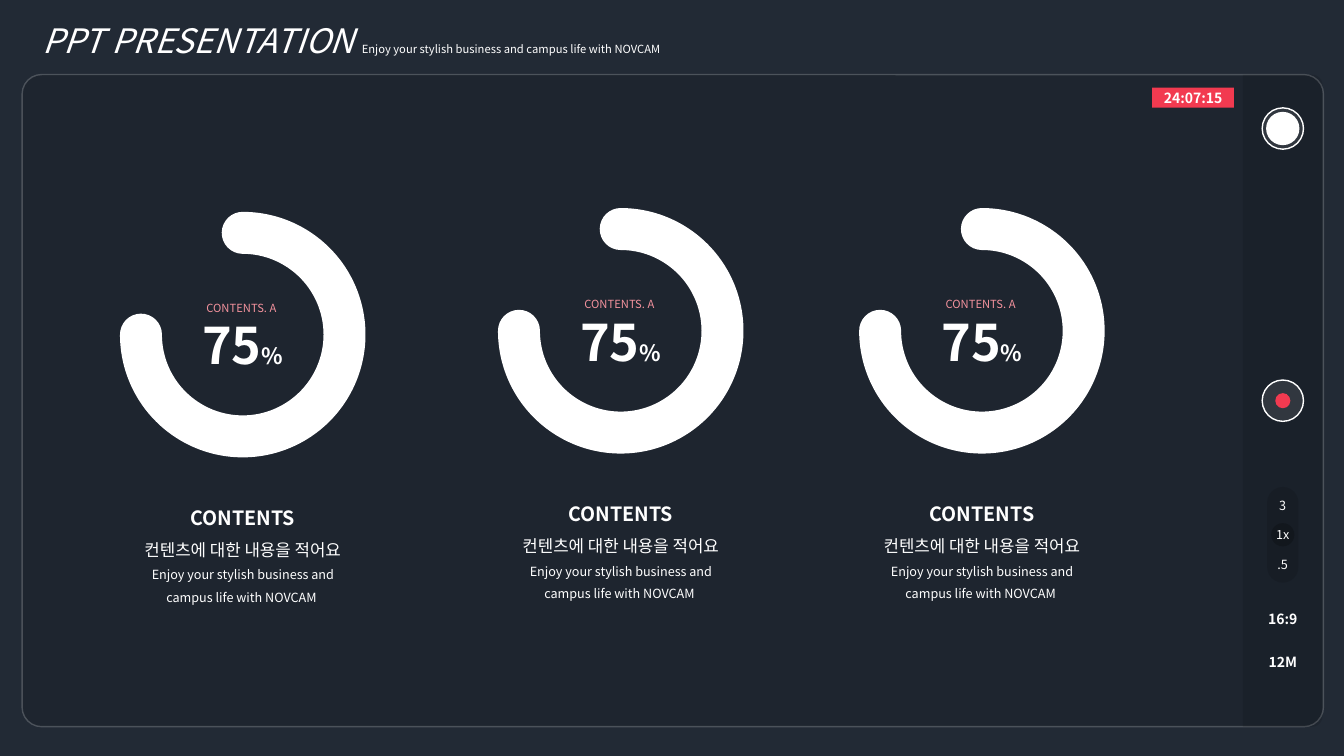
"""Build a camera-viewfinder slide with three percentage gauges."""
from dataclasses import dataclass
from typing import Optional

from lxml.etree import SubElement
from pptx import Presentation
from pptx.dml.color import RGBColor
from pptx.enum.shapes import MSO_SHAPE as Kind
from pptx.enum.text import MSO_ANCHOR as Anchor, MSO_AUTO_SIZE as AutoSize, PP_ALIGN as Align
from pptx.oxml.ns import qn
from pptx.util import Pt

FONT = "Noto Sans CJK KR"
WHITE, BLACK, RED, PINK = "FFFFFF", "000000", "F23A50", "F3929D"
SLOGAN = "Enjoy your stylish business and campus life with NOVCAM"
CONTROL_X = 916.3
RING_SIZE = 145.4
CAPTION_WIDTH, CAPTION_HEIGHT, CAPTION_DROP = 176.4, 85, 110.5


@dataclass(frozen=True)
class Span:
    text: str
    size: float
    bold: bool = False
    italic: bool = False


@dataclass(frozen=True)
class Line:
    spans: tuple[Span, ...]
    color: str = WHITE
    spacing: float = 1.0
    align: Align = Align.CENTER


@dataclass(frozen=True)
class Part:
    kind: Kind
    x: float
    y: float
    width: float
    height: float
    fill: Optional[str] = None
    opacity: int = 100
    line: Optional[str] = None
    line_width: float = 1
    line_opacity: int = 100
    adjustments: tuple[float, ...] = ()
    rotation: float = 0
    lines: tuple[Line, ...] = ()
    wrap: bool = True


@dataclass(frozen=True)
class Gauge:
    x: float
    y: float


def paint(color_format, color: str, opacity: int = 100) -> None:
    color_format.rgb = RGBColor.from_string(color)
    if opacity < 100:
        node = color_format._xFill.find(qn("a:srgbClr"))
        SubElement(node, qn("a:alpha")).set("val", str(opacity * 1000))


def write(frame, lines: tuple[Line, ...]) -> None:
    for index, line in enumerate(lines):
        para = frame.paragraphs[0] if index == 0 else frame.add_paragraph()
        para.alignment = line.align
        para.line_spacing = line.spacing
        para.space_before = para.space_after = Pt(0)
        para.font.name = FONT
        paint(para.font.color, line.color)
        defaults = para._p.pPr.find(qn("a:defRPr"))
        SubElement(defaults, qn("a:ea")).set("typeface", FONT)
        fonts = [para.font] if len(line.spans) == 1 else []
        for span in line.spans:
            run = para.add_run()
            run.text = span.text
            if len(line.spans) > 1:
                fonts.append(run.font)
        for font, span in zip(fonts, line.spans):
            font.size, font.bold, font.italic = Pt(span.size), span.bold, span.italic


def draw(page, part: Part):
    shape = page.shapes.add_shape(
        part.kind, Pt(part.x), Pt(part.y), Pt(part.width), Pt(part.height))
    shape.shadow.inherit = False
    shape.rotation = part.rotation
    for index, value in enumerate(part.adjustments):
        shape.adjustments[index] = value
    if part.fill:
        shape.fill.solid()
        paint(shape.fill.fore_color, part.fill, part.opacity)
    else:
        shape.fill.background()
    if part.line:
        shape.line.width = Pt(part.line_width)
        shape.line.fill.solid()
        paint(shape.line.fill.fore_color, part.line, part.line_opacity)
    else:
        shape.line.fill.background()
    if part.lines:
        shape.text_frame.word_wrap = part.wrap
        shape.text_frame.vertical_anchor = Anchor.MIDDLE
        write(shape.text_frame, part.lines)
    return shape


def disc(y: float, size: float, x: float = CONTROL_X, **style) -> Part:
    return Part(Kind.OVAL, x - size / 2, y - size / 2, size, size, **style)


def control_label(text: str, y: float, size: float, bold: bool = False, **style) -> Part:
    return disc(y, 16.6, lines=(Line((Span(text, size, bold),)),), wrap=False, **style)


def draw_title(page) -> None:
    title = page.shapes.title
    title.left, title.top, title.width, title.height = Pt(23), Pt(10.8), Pt(480), Pt(36)
    frame = title.text_frame
    frame.word_wrap = True
    frame.auto_size = AutoSize.SHAPE_TO_FIT_TEXT
    frame.vertical_anchor = Anchor.TOP
    spans = (Span("PPT PRESENTATION ", 24, italic=True), Span(SLOGAN, 8))
    write(frame, (Line(spans, align=Align.LEFT),))


def draw_gauge(page, gauge: Gauge) -> None:
    reading = (Line((Span("CONTENTS. A ", 8),), PINK, 1.5),
               Line((Span("75", 36, True), Span("%", 16, True))))
    draw(page, disc(gauge.y, RING_SIZE, gauge.x, lines=reading))
    left, top = gauge.x - RING_SIZE / 2, gauge.y - RING_SIZE / 2
    arc = draw(page, Part(Kind.ARC, left, top, RING_SIZE, RING_SIZE, line=WHITE,
                          line_width=30, adjustments=(162, 108)))
    arc.line._get_or_add_ln().set("cap", "rnd")
    box = page.shapes.add_textbox(
        Pt(gauge.x - CAPTION_WIDTH / 2), Pt(gauge.y + CAPTION_DROP),
        Pt(CAPTION_WIDTH), Pt(CAPTION_HEIGHT))
    box.text_frame.word_wrap = True
    box.text_frame.auto_size = AutoSize.SHAPE_TO_FIT_TEXT
    spans = (Span("CONTENTS", 14, True), Span("컨텐츠에 대한 내용을 적어요", 12),
             Span(SLOGAN + " ", 9))
    write(box.text_frame, tuple(Line((span,), spacing=1.5) for span in spans))


VIEWFINDER = (
    Part(Kind.ROUNDED_RECTANGLE, 15.8, 53.3, 929.5, 465.8, BLACK, 10,
         WHITE, line_opacity=20, adjustments=(0.03,)),
    Part(Kind.ROUND_2_SAME_RECTANGLE, 683.3, 257.8, 465.8, 56.9, BLACK, 10,
         adjustments=(0.13, 0), rotation=90),
    disc(286.2, 29.5, fill=WHITE, opacity=10, line=WHITE),
    disc(286.2, 10.8, fill=RED),
    Part(Kind.ROUNDED_RECTANGLE, CONTROL_X - 11.2, 347.8, 22.4, 68.4, BLACK, 10,
         adjustments=(0.5,)),
    control_label("1x", 382, 9, fill=BLACK, opacity=20),
    control_label("3", 361.1, 9),
    control_label(".5", 402.9, 9),
    control_label("16:9", 442.4, 10, True),
    control_label("12M", 472.7, 10, True),
    Part(Kind.RECTANGLE, 823, 62.6, 58.3, 14.4, RED,
         lines=(Line((Span("24:07:15", 10, True),)),)),
    disc(91.8, 29.5, fill=WHITE, opacity=10, line=WHITE),
    disc(91.8, 23.8, fill=WHITE),
)
GAUGES = (Gauge(173.4, 239), Gauge(443.4, 236.3), Gauge(701.4, 236.3))


def main() -> None:
    deck = Presentation()
    deck.slide_width, deck.slide_height = Pt(960), Pt(540)
    page = deck.slides.add_slide(deck.slide_layouts[5])
    page.background.fill.solid()
    paint(page.background.fill.fore_color, "222A35")
    draw_title(page)
    for part in VIEWFINDER:
        draw(page, part)
    for gauge in GAUGES:
        draw_gauge(page, gauge)
    deck.save("out.pptx")


if __name__ == "__main__":
    main()
